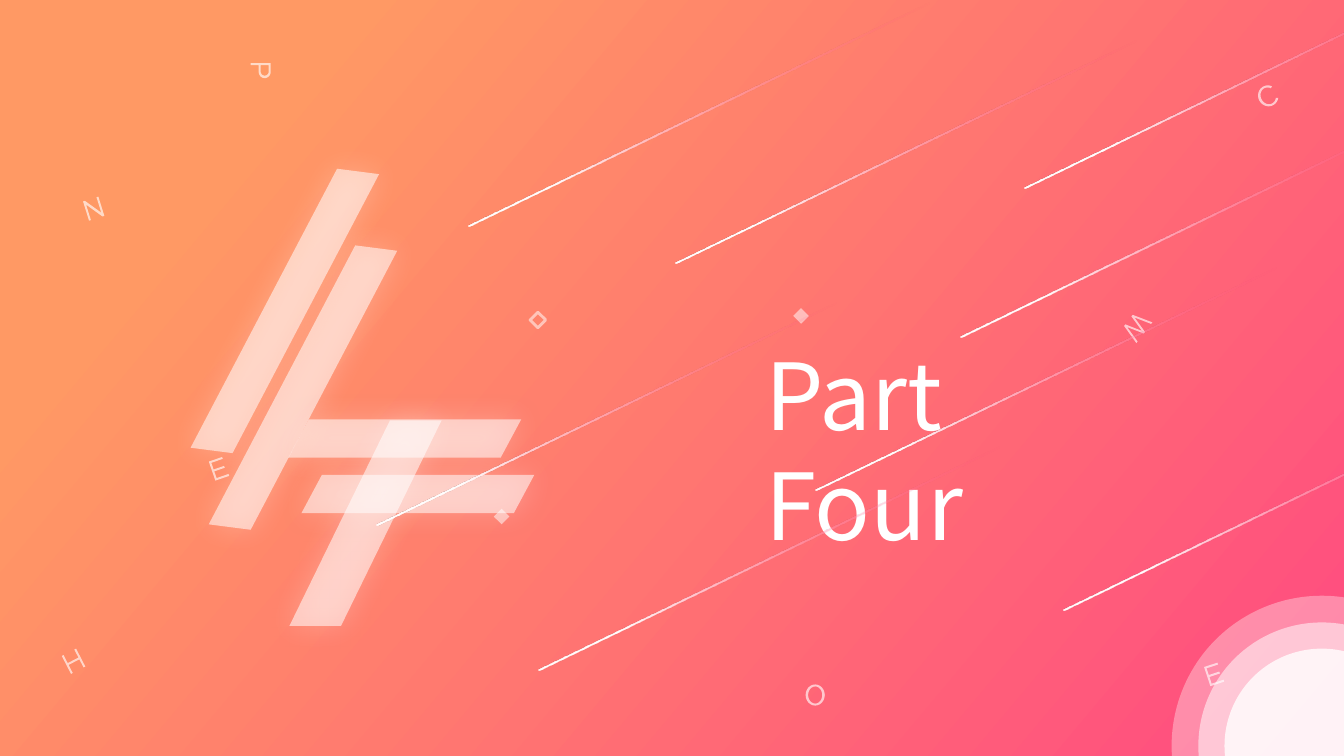
import math
import pptx
import pptx.util
import pptx.dml.color
import pptx.enum.shapes
import pptx.enum.text
import pptx.oxml.ns
import lxml.etree

RGB = pptx.dml.color.RGBColor
KIND = pptx.enum.shapes.MSO_SHAPE
ANCHOR = pptx.enum.text.MSO_ANCHOR
ALIGN = pptx.enum.text.PP_ALIGN
qn = pptx.oxml.ns.qn

WHITE = RGB(0xFF, 0xFF, 0xFF)
ORANGE = RGB(0xFF, 0x99, 0x64)
PINK = RGB(0xFF, 0x4A, 0x81)
FONT = "Noto Sans CJK JP"

WIDE, HIGH = pptx.util.Inches(13.33), pptx.util.Inches(7.5)
CELL = HIGH / 75  # square grid: 75 rows, 133.3 columns
FULL = (0, 0, 133.3, 75)


def arc(x, y, wide, high, start, end):
    """List points on an ellipse with the given centre and radii."""
    turns = [math.radians(start + (end - start) * i / 24) for i in range(25)]
    return [(x + wide * math.cos(t), y + high * math.sin(t)) for t in turns]


# Letter outlines, in tenths of a cell; a second outline is the hole.
GLYPHS = {
    "O": [arc(9.5, 10.5, 9.5, 10.5, 0, 360), arc(9.5, 10.5, 7, 8.5, 360, 0)],
    "C": [arc(10, 10.5, 10, 10.5, 36, 318) + arc(10, 10.5, 7.5, 8.5, 318, 36)],
    "N": [[(0, 20), (0, 0), (2, 0), (14, 16), (14, 0), (16, 0), (16, 20),
           (14, 20), (2, 4), (2, 20)]],
    "E": [[(0, 0), (14, 0), (14, 2), (2, 2), (2, 9), (13, 9), (13, 11),
           (2, 11), (2, 18), (14.5, 18), (14.5, 20), (0, 20)]],
    "W": [[(0, 0), (2, 0), (7, 17), (12, 0), (14, 0), (19, 17), (24, 0),
           (26, 0), (20, 20), (18, 20), (13, 3), (8, 20), (6, 20)]],
    "P": [[(0, 0), *arc(8.5, 6, 6.5, 6, -90, 90), (2, 12), (2, 20), (0, 20)],
          [(2, 2), (2, 10), *arc(8.5, 6, 4, 4, 90, -90)]],
    "H": [[(0, 0), (2, 0), (2, 9), (14, 9), (14, 0), (16, 0), (16, 20),
           (14, 20), (14, 11), (2, 11), (2, 20), (0, 20)]],
}


def cells(*sizes):
    return [round(size * CELL) for size in sizes]


def fade(node, share):
    """Set the opacity, in percent, of every plain colour under node."""
    for tint in node.iter(qn("a:srgbClr")):
        lxml.etree.SubElement(tint, qn("a:alpha"), val=str(share * 1000))


def blend(fill, start, end):
    fill.gradient()
    fill.gradient_angle = 320
    for stop, tint, place in zip(fill.gradient_stops, (start, end), (0.18, 1)):
        stop.color.rgb = tint
        stop.position = place


def dress(shape, share, turn):
    """Make the shape borderless, white at the given opacity or unfilled."""
    shape.shadow.inherit = False
    shape.line.fill.background()
    shape.rotation = turn
    if share is None:
        shape.fill.background()
    else:
        shape.fill.solid()
        shape.fill.fore_color.rgb = WHITE
        fade(shape.fill._xPr, share)


def draw(slide, kind, box, share=None, turn=0):
    shape = slide.shapes.add_shape(kind, *cells(*box))
    dress(shape, share, turn)
    return shape


def glow(shape):
    props = shape.element.spPr
    shade = lxml.etree.SubElement(
        props.find(qn("a:effectLst")), qn("a:outerShdw"),
        blurRad=str(pptx.util.Pt(21)), dist="0", dir="0",
        algn="ctr", rotWithShape="0")
    lxml.etree.SubElement(shade, qn("a:srgbClr"), val=str(WHITE))
    fade(shade, 40)


def letters(slide, box):
    left, top = box[:2]
    fine = 100  # drawing units to a tenth of a cell
    for mark, x, y, turn in (
            ("O", 79.9, 67.9, 0), ("C", 124.8, 8.5, 334.6),
            ("N", 8.5, 19.7, 342.7), ("E", 119.7, 65.9, 341.8),
            ("W", 111.4, 31.4, 127.6), ("E", 21, 45.5, 341),
            ("P", 25.1, 6, 90), ("H", 6.5, 64.6, 332.8)):
        pen = None
        for outline in GLYPHS[mark]:
            dots = [(px * fine, py * fine) for px, py in outline]
            if pen is None:
                pen = slide.shapes.build_freeform(*dots[0], CELL / 10 / fine)
            else:
                pen.move_to(*dots[0])
            pen.add_line_segments(dots[1:], close=True)
        shape = pen.convert_to_shape(*cells(left + x, top + y))
        dress(shape, 64, turn)


def gems(slide, box):
    left, top = box[:2]
    size = 1.1
    for x, y, share in ((79.45, 31.35, 52), (49.75, 51.25, 52),
                        (53.35, 31.75, None)):
        spot = (left + x - size / 2, top + y - size / 2, size, size)
        gem = draw(slide, KIND.RECTANGLE, spot, share, 44.7)
        if share is None:
            gem.line.color.rgb = WHITE
            gem.line.width = pptx.util.Pt(2)
            fade(gem.line._ln, 52)


def figure(slide, box):
    """Build the large 4 from slanted bars."""
    left, top = box[:2]
    tall, flat, stem = (15.1, 29.3), (23.1, 3.8), (15.1, 20.4)
    for x, y, size, slant, turn in (
            (0, 0, tall, 0.722, 7.3), (1.8, 7.6, tall, 0.722, 7.3),
            (7.9, 25.4, flat, 0.535, 0), (9.2, 30.9, flat, 0.535, 0),
            (8, 25.5, stem, 0.661, 0)):
        bar = draw(slide, KIND.PARALLELOGRAM,
                   (left + x, top + y, *size), 55, turn)
        bar.adjustments[0] = slant
        glow(bar)


def heading(slide, box):
    title = slide.shapes.title
    title.left, title.top, title.width, title.height = cells(*box)
    frame = title.text_frame
    frame.margin_left = frame.margin_right = 0
    frame.margin_top = frame.margin_bottom = 0
    frame.word_wrap = True
    frame.vertical_anchor = ANCHOR.TOP
    frame.text = "Part Four"
    line = frame.paragraphs[0]
    line.alignment = ALIGN.LEFT
    font = line.runs[0].font
    font.name, font.size = FONT, pptx.util.Pt(66)
    font.color.rgb = WHITE


def streaks(slide, box):
    left, top = box[:2]
    for x, y in ((64.5, 15), (92.8, 22.3), (50.9, 55.3), (44, 11.3),
                 (78.4, 37.5), (34.8, 41), (103, 49.4), (99.1, 7.5)):
        streak = draw(slide, KIND.ROUNDED_RECTANGLE,
                      (left + x, top + y, 50.7, 0.2), turn=334.2)
        streak.adjustments[0] = 0.5
        streak.element.spPr.xfrm.set("flipV", "1")
        blend(streak.fill, WHITE, PINK)
        fade(streak.fill.gradient_stops[1]._gs, 0)


def rings(slide, box):
    left, top, wide, high = box
    for size, share in ((29.8, 34), (24.5, 52), (19.3, 79)):
        draw(slide, KIND.OVAL, (left + (wide - size) / 2,
                                top + (high - size) / 2, size, size), share)


def main():
    deck = pptx.Presentation()
    deck.slide_width, deck.slide_height = WIDE, HIGH
    slide = deck.slides.add_slide(deck.slide_layouts[5])
    blend(slide.background.fill, ORANGE, PINK)
    letters(slide, FULL)
    gems(slide, FULL)
    figure(slide, (20.7, 16.2, 32.3, 45.9))
    heading(slide, (75.9, 33.5, 38.8, 11.1))
    streaks(slide, FULL)
    rings(slide, (116.2, 59.1, 29.8, 29.8))
    deck.save("out.pptx")


if __name__ == "__main__":
    main()
